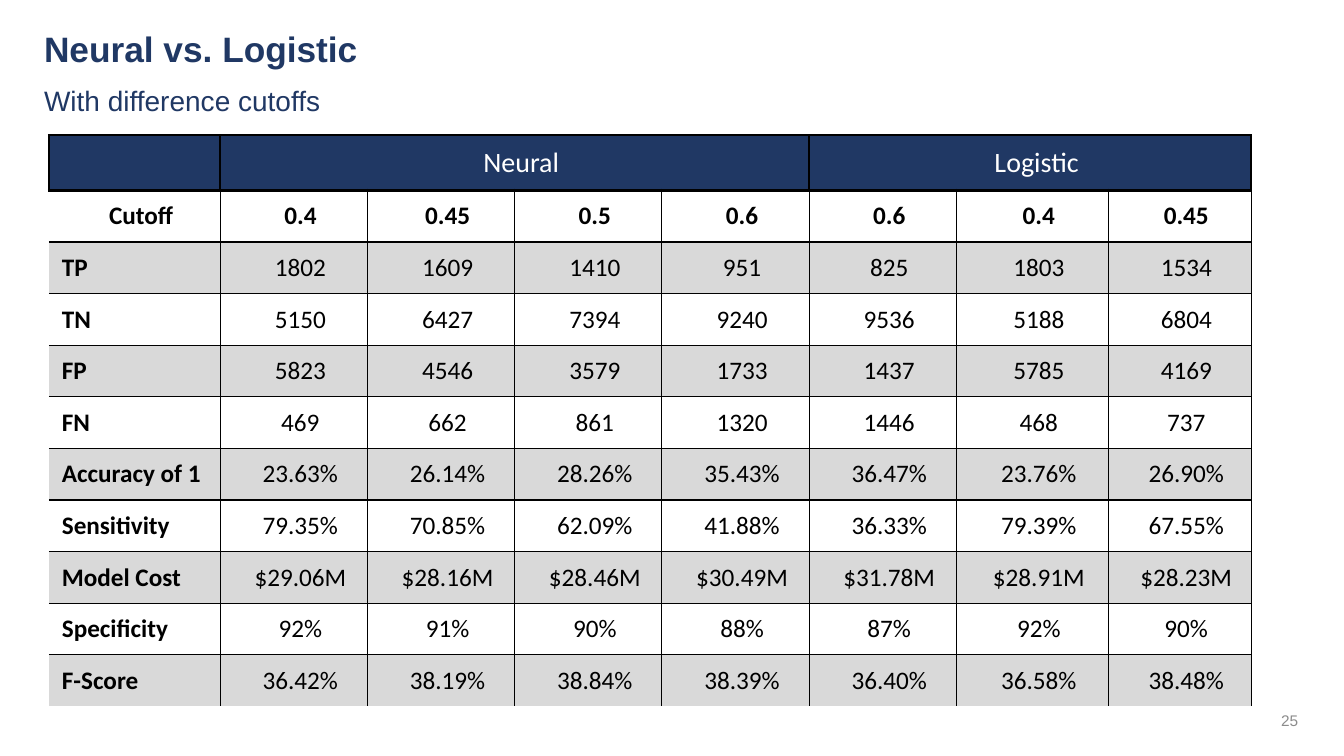
from lxml.etree import SubElement
from pptx import Presentation
from pptx.dml.color import RGBColor
from pptx.enum.text import MSO_ANCHOR as ANCHOR, PP_ALIGN as ALIGN
from pptx.oxml.ns import qn
from pptx.util import Cm, Pt

COLORS = {
    "navy": "203864",
    "band": "D9D9D9",
    "line": "000000",
    "text": "000000",
    "white": "FFFFFF",
    "muted": "8C8C8C",
}

COL_WIDTHS = [4.32] + [3.71] * 5 + [3.83, 3.6]
HEADER_HEIGHT, ROW_HEIGHT = 1.4, 1.3
MODELS = [("Neural", 1, 4), ("Logistic", 5, 7)]  # name, first and last column
ROWS = [
    ["Cutoff", "0.4", "0.45", "0.5", "0.6", "0.6", "0.4", "0.45"],
    ["TP", "1802", "1609", "1410", "951", "825", "1803", "1534"],
    ["TN", "5150", "6427", "7394", "9240", "9536", "5188", "6804"],
    ["FP", "5823", "4546", "3579", "1733", "1437", "5785", "4169"],
    ["FN", "469", "662", "861", "1320", "1446", "468", "737"],
    ["Accuracy of 1", "23.63%", "26.14%", "28.26%", "35.43%", "36.47%", "23.76%", "26.90%"],
    ["Sensitivity", "79.35%", "70.85%", "62.09%", "41.88%", "36.33%", "79.39%", "67.55%"],
    ["Model Cost", "$29.06M", "$28.16M", "$28.46M", "$30.49M", "$31.78M", "$28.91M", "$28.23M"],
    ["Specificity", "92%", "91%", "90%", "88%", "87%", "92%", "90%"],
    ["F-Score", "36.42%", "38.19%", "38.84%", "38.39%", "36.40%", "36.58%", "38.48%"],
]


def rgb(name):
    return RGBColor.from_string(COLORS[name])


def add_run(p, text, size, color, font, bold=False):
    r = p.add_run()
    r.text = text
    r.font.size = Pt(size)
    r.font.name = font
    r.font.bold = bold
    r.font.color.rgb = rgb(color)


def add_text(s, text, left, top, width, height, size, color,
             bold=False, align=ALIGN.LEFT, spacing=1.0):
    tf = s.shapes.add_textbox(Cm(left), Cm(top), Cm(width), Cm(height)).text_frame
    tf.word_wrap = True
    tf.vertical_anchor = ANCHOR.MIDDLE
    p = tf.paragraphs[0]
    p.alignment = align
    p.line_spacing = spacing
    add_run(p, text, size, color, "Arial", bold)


def set_borders(cell, left, right, top, bottom):
    """Set line widths in points; 0 means no line."""
    tcPr = cell._tc.get_or_add_tcPr()
    for side, width in zip("LRTB", (left, right, top, bottom)):
        ln = SubElement(tcPr, qn(f"a:ln{side}"), w=str(Pt(width)))
        if width:
            fill = SubElement(ln, qn("a:solidFill"))
            SubElement(fill, qn("a:srgbClr"), val=COLORS["line"])
        else:
            SubElement(ln, qn("a:noFill"))


def set_fill(cell, color):
    if color:
        cell.fill.solid()
        cell.fill.fore_color.rgb = rgb(color)
    else:
        cell.fill.background()


def write_cell(cell, text, size, color, bold=False, align=ALIGN.CENTER):
    cell.vertical_anchor = ANCHOR.MIDDLE
    cell.margin_left, cell.margin_right = Cm(0.33), Cm(0)
    cell.margin_top = cell.margin_bottom = Cm(0.25)
    p = cell.text_frame.paragraphs[0]
    p.alignment = align
    add_run(p, text, size, color, "Calibri", bold)


def fill_header(table):
    last = len(COL_WIDTHS) - 1
    for c in range(last + 1):
        cell = table.cell(0, c)
        set_borders(cell, 1.5, 1 if c == last else 1.5, 1.5, 3)
        set_fill(cell, "navy")
    for name, first, end in MODELS:
        cell = table.cell(0, first)
        cell.merge(table.cell(0, end))
        write_cell(cell, name, 20, "white")


def fill_body(table):
    for i, row in enumerate(ROWS):
        is_cutoff = i == 0
        for c, text in enumerate(row):
            cell = table.cell(i + 1, c)
            is_label = c == 0
            set_borders(cell, 0 if is_label else 1, 1, 3 if is_cutoff else 1,
                        0 if i == len(ROWS) - 1 else 1)
            set_fill(cell, "band" if i % 2 else None)
            align = ALIGN.LEFT if is_label and not is_cutoff else ALIGN.CENTER
            write_cell(cell, text, 18, "text", is_label or is_cutoff, align)


def add_results_table(s, left, top):
    heights = [HEADER_HEIGHT] + [ROW_HEIGHT] * len(ROWS)
    table = s.shapes.add_table(len(heights), len(COL_WIDTHS), Cm(left), Cm(top),
                               Cm(sum(COL_WIDTHS)), Cm(sum(heights))).table
    table.first_row = table.horz_banding = False
    for column, width in zip(table.columns, COL_WIDTHS):
        column.width = Cm(width)
    for row, height in zip(table.rows, heights):
        row.height = Cm(height)
    fill_header(table)
    fill_body(table)


def main():
    prs = Presentation()
    prs.slide_width, prs.slide_height = Cm(33.87), Cm(19.05)
    s = prs.slides.add_slide(prs.slide_layouts[6])

    # Headings
    add_text(s, "Neural vs. Logistic", 0.86, 0.63, 27.94, 1.3, 25.2, "navy",
             bold=True, spacing=0.9)
    add_text(s, "With difference cutoffs", 0.86, 1.9, 27.94, 1.37, 20, "navy",
             spacing=0.9)

    # Model comparison
    add_results_table(s, 1.23, 3.4)

    # Slide number
    add_text(s, "25", 25.35, 17.65, 7.62, 1.02, 11, "muted", align=ALIGN.RIGHT)

    prs.save("out.pptx")


if __name__ == "__main__":
    main()
